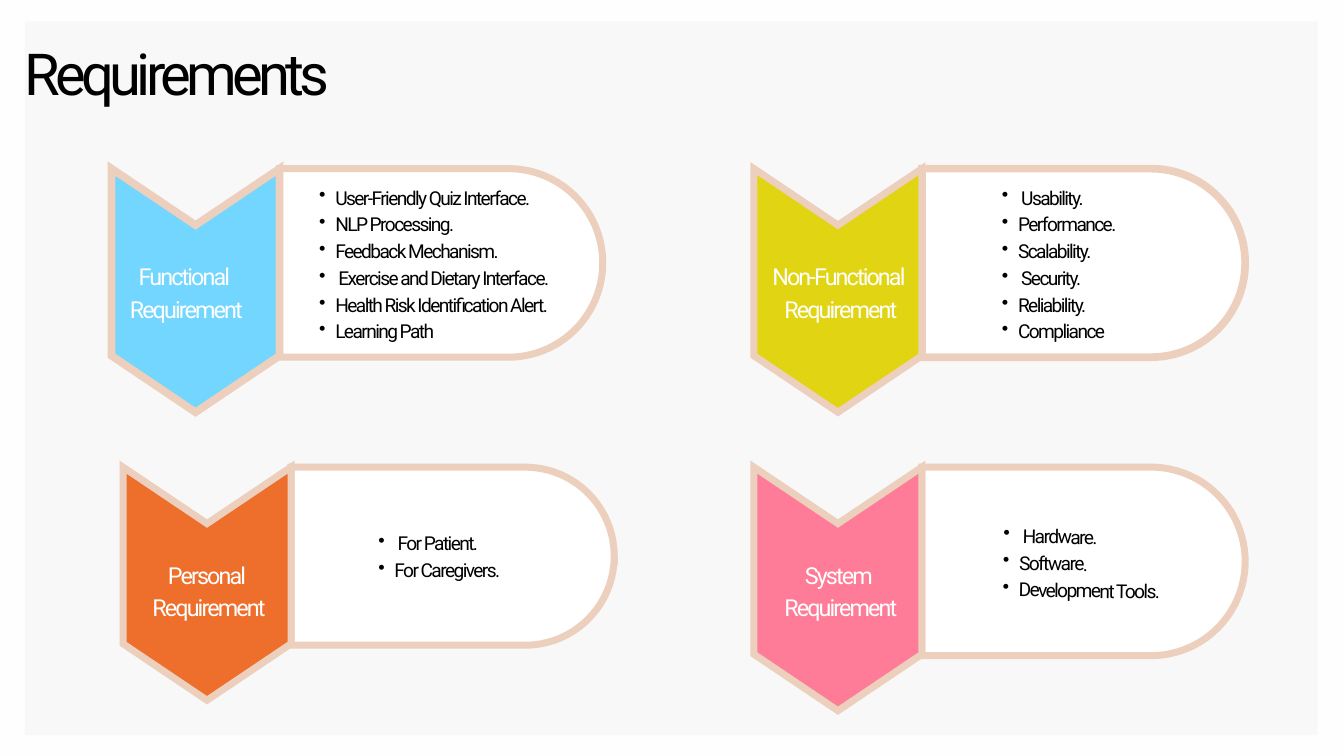
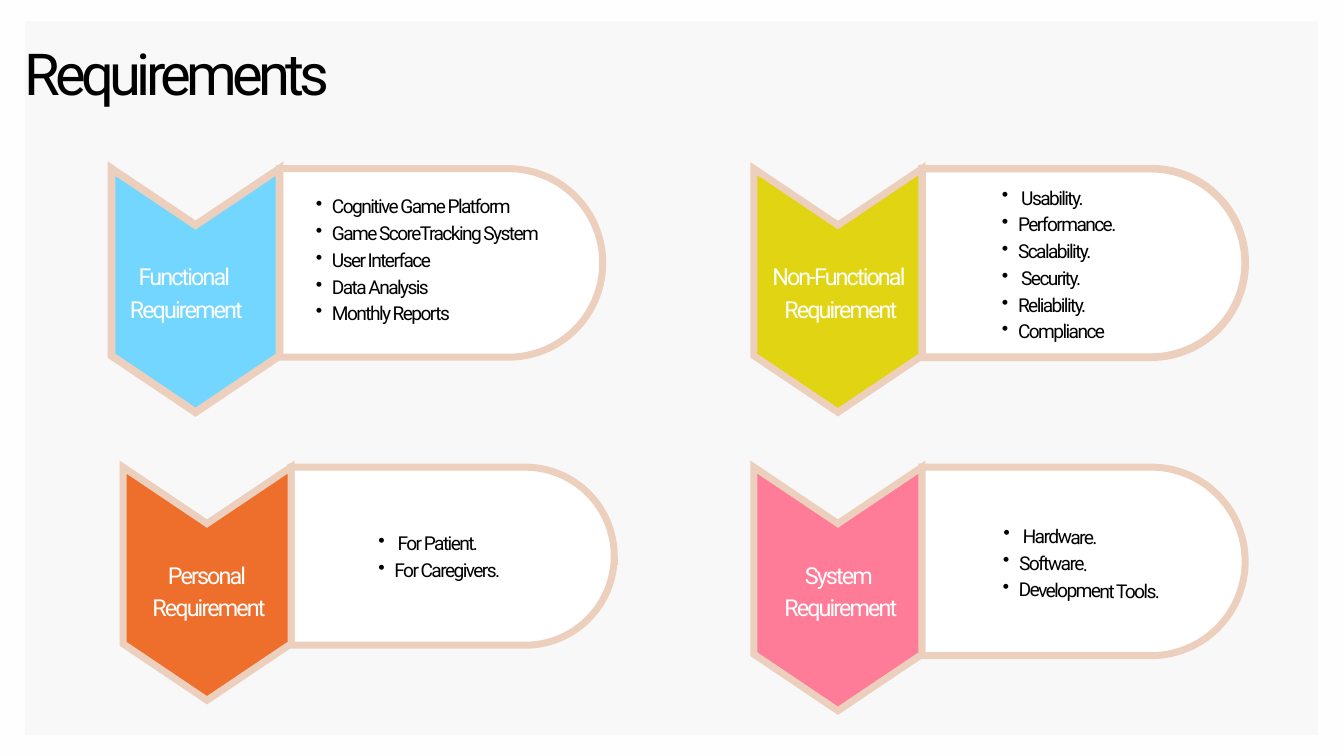
from dataclasses import dataclass

from lxml import etree
from pptx import Presentation
from pptx.dml.color import RGBColor
from pptx.enum.shapes import MSO_SHAPE
from pptx.enum.text import MSO_ANCHOR, MSO_AUTO_SIZE, PP_ALIGN
from pptx.oxml.ns import qn
from pptx.util import Pt

LEFT, MID, EVEN = PP_ALIGN.LEFT, PP_ALIGN.CENTER, PP_ALIGN.JUSTIFY
TOP = MSO_ANCHOR.TOP
GROW = MSO_AUTO_SIZE.SHAPE_TO_FIT_TEXT
RECT = MSO_SHAPE.RECTANGLE
PILL = MSO_SHAPE.ROUND_2_SAME_RECTANGLE
ARROW = MSO_SHAPE.CHEVRON


@dataclass(frozen=True)
class Theme:
    font: str = "Roboto"
    page: str = "FEFEFE"
    panel: str = "F8F8F8"
    white: str = "FFFFFF"
    black: str = "000000"
    edge: str = "ECD0BD"
    blue: str = "72D6FE"
    yellow: str = "E1D413"
    orange: str = "EE6E2C"
    pink: str = "FE7C97"
    # Type: size, line pitch, letter spacing
    title: tuple = (62, 59.5, -5.1)
    label: tuple = (25, 35, -2)
    item: tuple = (20.5, 28.7, -1.7)


THEME = Theme()

# Card grid
BAND = 180      # width of the arrow
NOTCH = 60.5    # depth of its tip
REACH = 346.3   # length of the pill
ROWS = (180.7, 500.5)


@dataclass(frozen=True)
class Card:
    name: str
    fill: str
    left: float
    row: int
    tall: float
    items: tuple
    list_box: tuple          # left, top, width, height
    turn: float = 0
    label_wide: float = 131.8
    label_shift: float = 1
    pill_edge: float = 7.5
    arrow_edge: float = 7.5


def write(frame, lines, *, style, color, align=LEFT, bullet=False):
    """Fill a text frame, one paragraph for each line."""
    size, pitch, gap = style
    frame.word_wrap = True
    frame.auto_size = GROW
    frame.vertical_anchor = TOP
    frame.margin_left = frame.margin_right = 0
    frame.margin_top = frame.margin_bottom = 0
    for i, line in enumerate(lines):
        para = frame.paragraphs[0] if i == 0 else frame.add_paragraph()
        para.alignment = align
        para.line_spacing = Pt(pitch)
        para.space_before = para.space_after = Pt(0)
        if bullet:
            para.level = 1
            props = para._p.get_or_add_pPr()
            props.set("marL", str(Pt(34.56)))
            props.set("indent", str(Pt(-17.28)))
            etree.SubElement(props, qn("a:buChar"), char="•")
        run = para.add_run()
        run.text = line
        run.font.name = THEME.font
        run.font.size = Pt(size)
        run.font.color.rgb = RGBColor.from_string(color)
        run._r.get_or_add_rPr().set("spc", str(round(gap * 100)))


class Deck:
    def __init__(self, theme):
        self.theme = theme
        self.prs = Presentation()
        self.prs.slide_width, self.prs.slide_height = Pt(1440), Pt(810)
        self.slide = None

    def page(self, title):
        """Start a slide with its panel and title."""
        t = self.theme
        self.slide = self.prs.slides.add_slide(self.prs.slide_layouts[5])
        back = self.slide.background.fill
        back.solid()
        back.fore_color.rgb = RGBColor.from_string(t.page)
        self.shape(RECT, (26.6, 23, 1385.3, 764.6), t.panel)
        head = self.slide.shapes.title
        head.left, head.top, head.width, head.height = map(
            Pt, (26.6, 55.4, 1146.2, 67))
        write(head.text_frame, [title], style=t.title, color=t.black)
        # Bring the title above the panel
        self.slide.shapes._spTree.append(head._element)

    def shape(self, kind, box, fill, edge=0, turn=0, bends=()):
        item = self.slide.shapes.add_shape(kind, *map(Pt, box))
        item.shadow.inherit = False
        item.rotation = turn
        for i, bend in enumerate(bends):
            item.adjustments[i] = bend
        item.fill.solid()
        item.fill.fore_color.rgb = RGBColor.from_string(fill)
        if edge:
            item.line.color.rgb = RGBColor.from_string(self.theme.edge)
            item.line.width = Pt(edge)
            line = item._element.spPr.find(qn("a:ln"))
            etree.SubElement(line, qn("a:miter"), lim="800000")
        else:
            item.line.fill.background()

    def upright(self, kind, box, fill, edge, bends):
        """Place a shape turned a quarter so that it covers the given box."""
        x, y, w, h = box
        self.shape(kind, (x + (w - h) / 2, y + (h - w) / 2, h, w),
                   fill, edge, 90, bends)

    def text(self, box, lines, turn=0, **form):
        item = self.slide.shapes.add_textbox(*map(Pt, box))
        item.rotation = turn
        write(item.text_frame, lines, **form)

    def card(self, card):
        t, x, y = self.theme, card.left, ROWS[card.row]
        self.upright(PILL, (x + BAND, y, REACH, card.tall), t.white,
                     card.pill_edge, (0.5, 0))
        self.upright(ARROW, (x, y, BAND, card.tall + NOTCH - 1.5), card.fill,
                     card.arrow_edge, (NOTCH / BAND,))
        wide = card.label_wide
        self.text((x + (BAND - wide) / 2 + card.label_shift, y + 95.3,
                   wide, 67.7), [card.name, " Requirement"],
                  style=t.label, color=t.white, align=MID)
        self.text(card.list_box, card.items, card.turn, style=t.item,
                  color=t.black, align=EVEN, bullet=True)


# Content: the first card changes, the others stay
def first(items, box):
    return Card("Functional", THEME.blue, 119.5, 0, 202, items, box,
                label_shift=-12, arrow_edge=8.25)


FIRSTS = (
    first(("User-Friendly Quiz Interface.", "NLP Processing.",
           "Feedback Mechanism.", " Exercise and Dietary Interface.",
           "Health Risk Identification Alert.", "Learning Path"),
          (324.7, 195.1, 280.8, 170)),
    first(("Cognitive Game Platform", "Game ScoreTracking System",
           "User Interface", "Data Analysis", "Monthly Reports"),
          (321.1, 204.5, 280.8, 170.6)),
)
SHARED = (
    Card("Non-Functional", THEME.yellow, 807.8, 0, 202,
         (" Usability.", "Performance.", "Scalability.", " Security.",
          "Reliability.", "Compliance"),
         (1056.2, 195.1, 143.3, 170), label_wide=152, pill_edge=8.25),
    Card("Personal", THEME.orange, 131.8, 1, 190.8,
         (" For Patient.", "For Caregivers."), (388.1, 565.2, 154.1, 129.6),
         label_shift=0),
    Card("System", THEME.pink, 807.8, 1, 202,
         (" Hardware.", "Software.", "Development Tools."),
         (1057, 560.2, 381.6, 139.7), turn=1),
)


def main():
    deck = Deck(THEME)
    for lead in FIRSTS:
        deck.page("Requirements")
        for card in (lead, *SHARED):
            deck.card(card)
    deck.prs.save("out.pptx")


if __name__ == "__main__":
    main()
